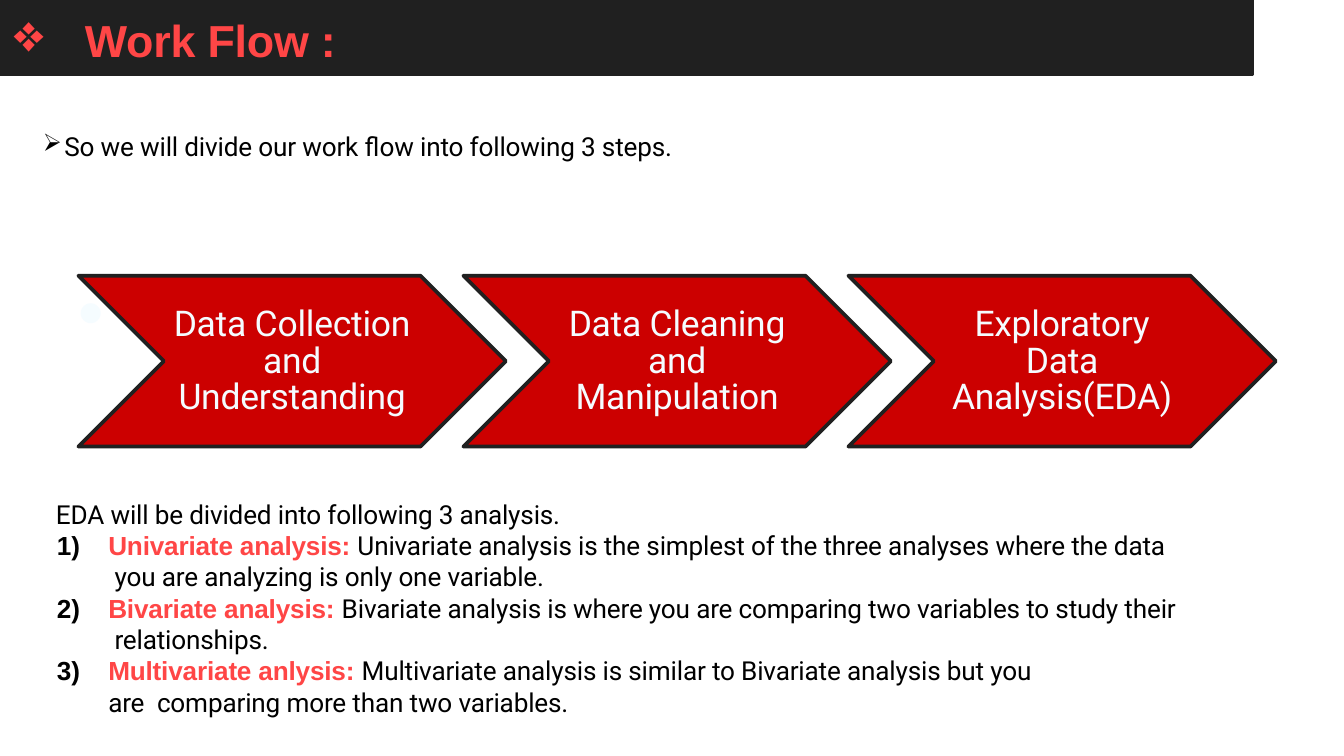
from dataclasses import dataclass

from lxml import etree
from pptx import Presentation
from pptx.dml.color import RGBColor
from pptx.enum import shapes, text
from pptx.oxml import ns
from pptx.util import Pt


@dataclass(frozen=True)
class Theme:
    dark: str = "202020"
    red: str = "CC0000"
    coral: str = "FF4646"
    pale: str = "F5FCFF"
    black: str = "000000"
    head: str = "Arial"
    body: str = "Roboto"
    title: int = 24
    step: int = 19
    note: int = 14


class Deck:
    def __init__(self, theme):
        self.theme = theme
        self.prs = Presentation()
        self.prs.slide_width, self.prs.slide_height = Pt(720), Pt(405)
        self.slide = self.prs.slides.add_slide(self.prs.slide_layouts[5])

    def style(self, run, size, color, face, bold=False):
        font = run.font
        font.size, font.name, font.bold = Pt(size), face, bold
        font.color.rgb = RGBColor.from_string(color)
        run._r.get_or_add_rPr().set("spc", "-10")

    def frame(self, shape, anchor=text.MSO_ANCHOR.TOP, wrap=True):
        tf = shape.text_frame
        tf.margin_left = tf.margin_right = tf.margin_bottom = 0
        tf.margin_top = Pt(1)
        tf.auto_size = text.MSO_AUTO_SIZE.NONE
        tf.word_wrap, tf.vertical_anchor = wrap, anchor
        return tf

    def bullet(self, para, left, hang, mark, size=None, color=None):
        """Hang a bullet; mark is (tag, attribute, value)."""
        ppr = para._p.get_or_add_pPr()
        ppr.set("marL", str(Pt(left)))
        ppr.set("indent", str(-Pt(hang)))

        def add(tag, **attrs):
            return etree.SubElement(ppr, ns.qn(tag), **attrs)

        if color:
            etree.SubElement(add("a:buClr"), ns.qn("a:srgbClr"), val=color)
        if size:
            add("a:buSzPct", val=str(size * 1000))
        tag, key, value = mark
        add(tag, **{key: value})

    def shape(self, kind, x, y, w, h, fill):
        item = self.slide.shapes.add_shape(kind, Pt(x), Pt(y), Pt(w), Pt(h))
        item.shadow.inherit = False
        item.fill.solid()
        item.fill.fore_color.rgb = RGBColor.from_string(fill)
        item.line.color.rgb = RGBColor.from_string(self.theme.dark)
        item.line.width = Pt(2)
        return item

    def title(self, words, x, y, w, h):
        th, item = self.theme, self.slide.shapes.title
        item.left, item.top, item.width, item.height = Pt(x), Pt(y), Pt(w), Pt(h)
        # Lift the title above the bar
        self.slide.shapes._spTree.append(item._element)
        para = self.frame(item).paragraphs[0]
        para.text = words
        para.alignment, para.space_before = text.PP_ALIGN.LEFT, Pt(1)
        self.style(para.runs[0], th.title, th.coral, th.head, True)
        self.bullet(para, 39, 38, ("a:buChar", "char", "❖"), 117)

    def box(self, words, x, y, w, h, color):
        item = self.slide.shapes.add_textbox(Pt(x), Pt(y), Pt(w), Pt(h))
        para = self.frame(item).paragraphs[0]
        para.text = words
        self.style(para.runs[0], self.theme.note, color, self.theme.body)
        return item.text_frame

    def step(self, words, x, y, w, h):
        th = self.theme
        item = self.shape(shapes.MSO_SHAPE.CHEVRON, x, y, w, h, th.red)
        para = self.frame(item, text.MSO_ANCHOR.MIDDLE, False).paragraphs[0]
        para.text = words
        para.alignment, para.line_spacing = text.PP_ALIGN.CENTER, 0.86
        for run in para.runs:
            self.style(run, th.step, th.pale, th.body)

    def point(self, tf, name, words):
        th, para = self.theme, tf.add_paragraph()
        para.text = name + ": "
        self.style(para.runs[0], th.note, th.coral, th.head, True)
        for i, part in enumerate(words.split("\v")):
            if i:
                para.add_line_break()
            run = para.add_run()
            run.text = part
            self.style(run, th.note, th.black, th.body)
        mark = ("a:buAutoNum", "type", "arabicParenR")
        self.bullet(para, 28, 27.5, mark, color=th.black)


def main():
    th = Theme()
    deck = Deck(th)

    # Header bar and title
    deck.shape(shapes.MSO_SHAPE.RECTANGLE, 0, 0, 671, 39.5, th.dark)
    deck.title("Work Flow :", 6.5, 5.75, 355, 32)

    # Opening line
    lead = deck.box("So we will divide our work flow into following 3 steps.",
                    6.5, 69, 355, 36, th.black)
    deck.bullet(lead.paragraphs[0], 28, 11.5, ("a:buChar", "char", "➢"), 93)

    # Three steps
    deck.box("●", 42.5, 156.5, 11, 19, th.pale)
    steps = ("Data Collection\vand\vUnderstanding",
             "Data Cleaning\vand\vManipulation",
             "Exploratory\vData\vAnalysis(EDA)")
    for i, words in enumerate(steps):
        deck.step(words, 42 + i * 206.25, 147.75, 229, 91.5)

    # Kinds of analysis
    tf = deck.box("EDA will be divided into following 3 analysis.",
                  30, 265.75, 608, 120, th.black)
    tf.paragraphs[0].space_before = Pt(1)
    points = (
        ("Univariate analysis", "Univariate analysis is the simplest of the "
         "three analyses where the data\v you are analyzing is only one variable."),
        ("Bivariate analysis", "Bivariate analysis is where you are comparing "
         "two variables to study their\v relationships."),
        ("Multivariate anlysis", "Multivariate analysis is similar to Bivariate "
         "analysis but you\vare  comparing more than two variables."),
    )
    for name, words in points:
        deck.point(tf, name, words)

    deck.prs.save("out.pptx")


if __name__ == "__main__":
    main()
